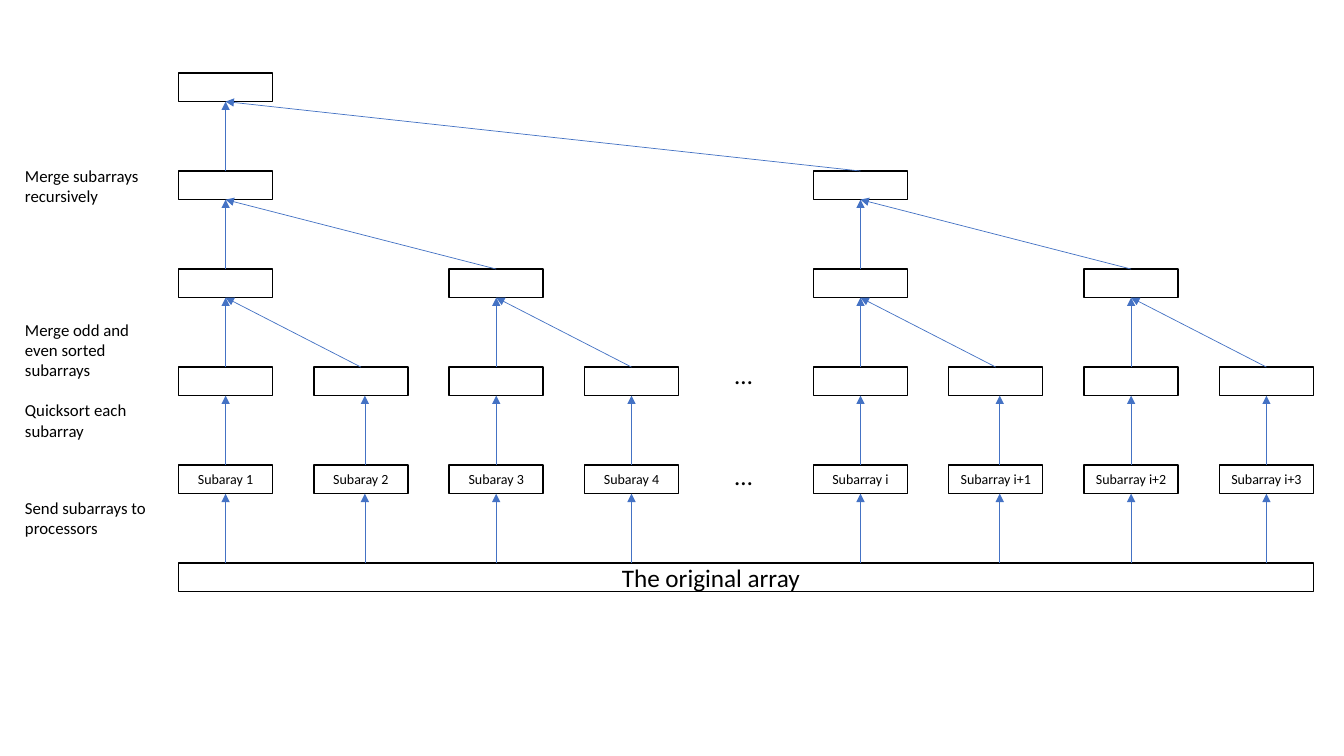
from lxml.etree import SubElement
from pptx import Presentation
from pptx.dml.color import RGBColor
from pptx.enum.shapes import MSO_CONNECTOR, MSO_SHAPE
from pptx.enum.text import MSO_ANCHOR, MSO_AUTO_SIZE, PP_ALIGN
from pptx.oxml.ns import qn
from pptx.util import Cm, Pt

BLACK, WHITE, BLUE = "000000", "FFFFFF", "4472C4"
LEFT, TOP = 4.5, 1.84
WIDTH, HEIGHT = 2.37, 0.72
PITCH, STEP = 3.41, 2.47
BASE = 5
NAMES = ["Subaray 1", "Subaray 2", "Subaray 3", "Subaray 4",
         "Subarray i", "Subarray i+1", "Subarray i+2", "Subarray i+3"]
COUNT = len(NAMES)
STAGES = [
    (12.42, 1.27, "Send subarrays to processors"),
    (9.96, 1.27, "Quicksort each subarray"),
    (7.92, 1.8, "Merge odd and even sorted subarrays"),
    (4.04, 1.27, "Merge subarrays recursively"),
]


def color(code):
    return RGBColor.from_string(code)


def col_x(col):
    """Left edge of a column; the second half starts after the gap."""
    half, place = divmod(col, 4)
    return LEFT + 16 * half + PITCH * place


def row_y(row):
    return TOP + STEP * row


def mid_x(col):
    return col_x(col) + WIDTH / 2


def style(frame, size):
    for part in frame.paragraphs:
        for run in part.runs:
            run.font.name = "Calibri"
            run.font.size = Pt(size)
            run.font.color.rgb = color(BLACK)


def add_box(slide, x, row, width=WIDTH, text=""):
    box = slide.shapes.add_shape(
        MSO_SHAPE.RECTANGLE, Cm(x), Cm(row_y(row)), Cm(width), Cm(HEIGHT))
    box.shadow.inherit = False
    box.fill.solid()
    box.fill.fore_color.rgb = color(WHITE)
    box.line.color.rgb = color(BLACK)
    box.line.width = Pt(1)
    if text:
        frame = box.text_frame
        frame.text = text
        frame.vertical_anchor = MSO_ANCHOR.MIDDLE
        frame.paragraphs[0].alignment = PP_ALIGN.CENTER
        style(frame, 10)


def add_arrow(slide, start, end, row):
    """Point from the top of a row to the bottom of the row above."""
    arrow = slide.shapes.add_connector(
        MSO_CONNECTOR.STRAIGHT, Cm(start), Cm(row_y(row)),
        Cm(end), Cm(row_y(row - 1) + HEIGHT))
    arrow.line.color.rgb = color(BLUE)
    arrow.line.width = Pt(0.5)
    SubElement(arrow.line._get_or_add_ln(), qn("a:tailEnd"), type="triangle")
    SubElement(arrow._element.spPr, qn("a:effectLst"))


def add_text(slide, x, y, width, height, text, size, wrap=False):
    box = slide.shapes.add_textbox(Cm(x), Cm(y), Cm(width), Cm(height))
    frame = box.text_frame
    frame.text = text
    frame.word_wrap = wrap
    frame.auto_size = MSO_AUTO_SIZE.SHAPE_TO_FIT_TEXT
    style(frame, size)


def add_boxes(slide):
    for col, name in enumerate(NAMES):
        add_box(slide, col_x(col), BASE - 1, text=name)
    add_box(slide, LEFT, BASE, col_x(COUNT - 1) + WIDTH - LEFT)
    for row in range(4):
        for col in range(0, COUNT, 2 ** (3 - row)):
            add_box(slide, col_x(col), row)


def add_arrows(slide):
    for row in (BASE, BASE - 1):
        for col in range(COUNT):
            x = mid_x(col) + (0.1 if col % 4 == 1 else 0)
            add_arrow(slide, x, x, row)
    for row in range(3, 0, -1):
        span = 2 ** (3 - row)
        for col in range(0, COUNT, span):
            goal = col - col % (2 * span)
            add_arrow(slide, mid_x(col), mid_x(goal), row)


def main():
    deck = Presentation()
    deck.slide_width, deck.slide_height = Cm(33.87), Cm(19.05)
    slide = deck.slides.add_slide(deck.slide_layouts[6])
    add_boxes(slide)
    add_arrows(slide)
    for y in (8.94, 11.48):
        add_text(slide, 18.27, y, 0.97, 1.03, "…", 18)
    add_text(slide, 15.42, 14.05, 5.05, 1.03, "The original array", 18)
    for y, height, text in STAGES:
        add_text(slide, 0.38, y, 3.81, height, text, 12, wrap=True)
    deck.save("out.pptx")


if __name__ == "__main__":
    main()
